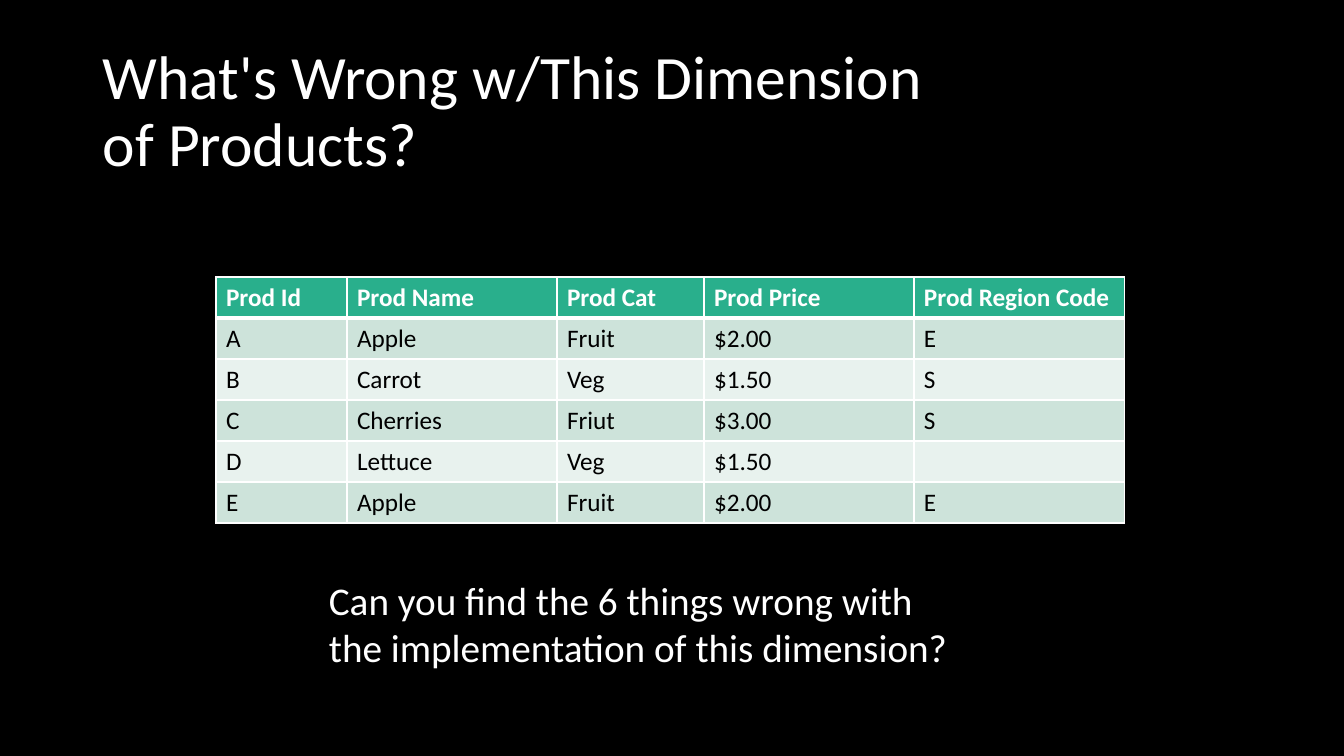
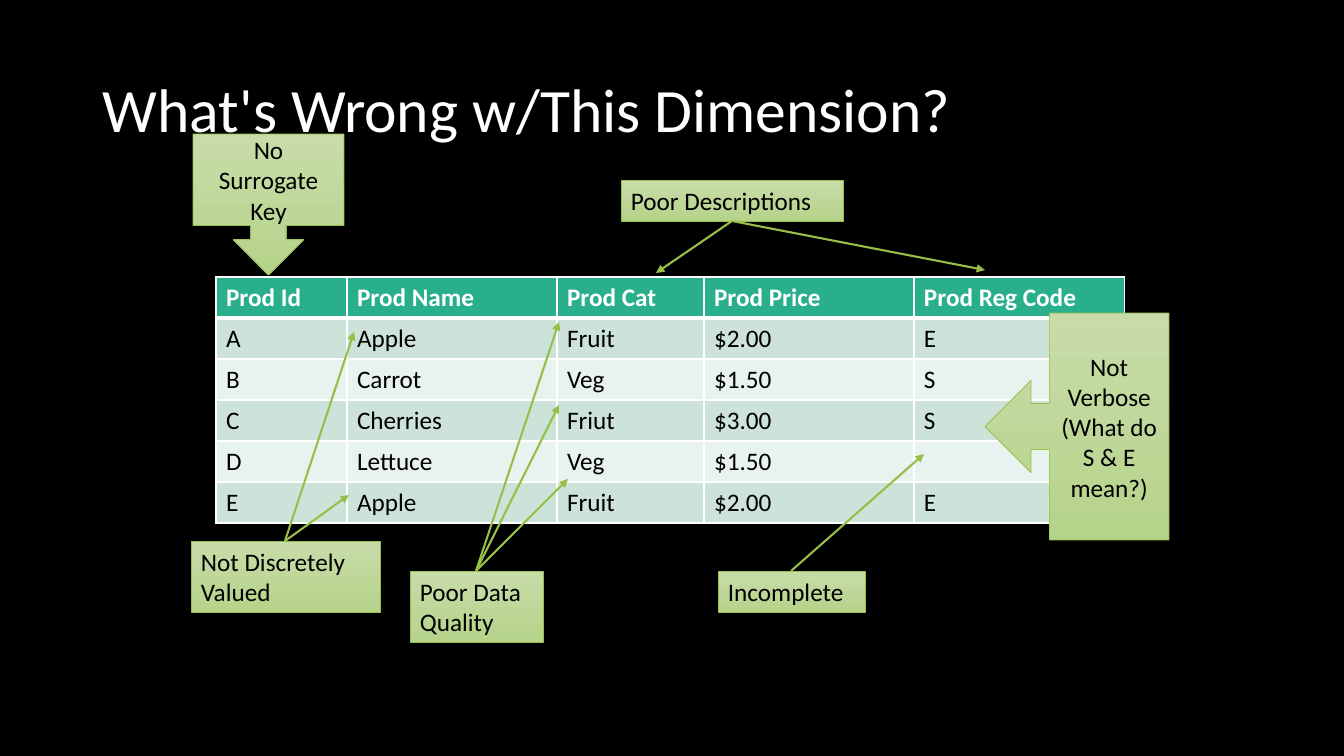
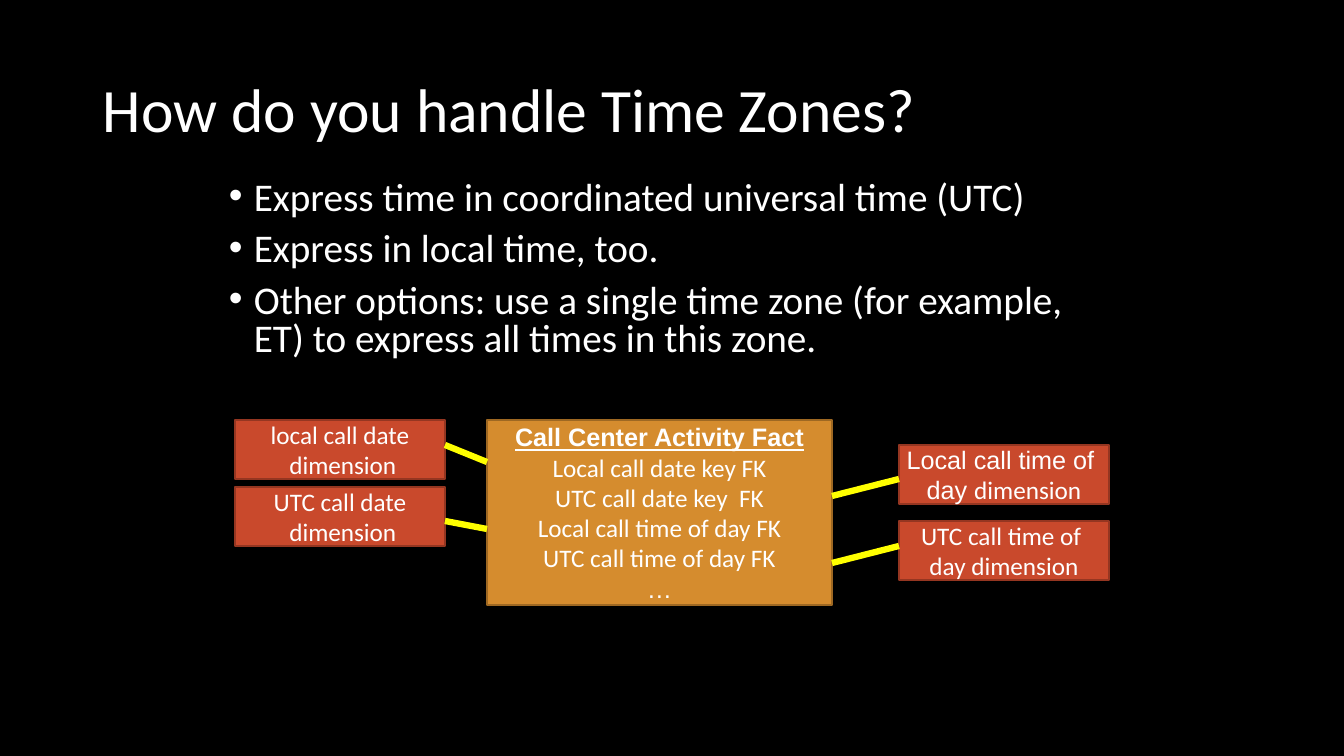
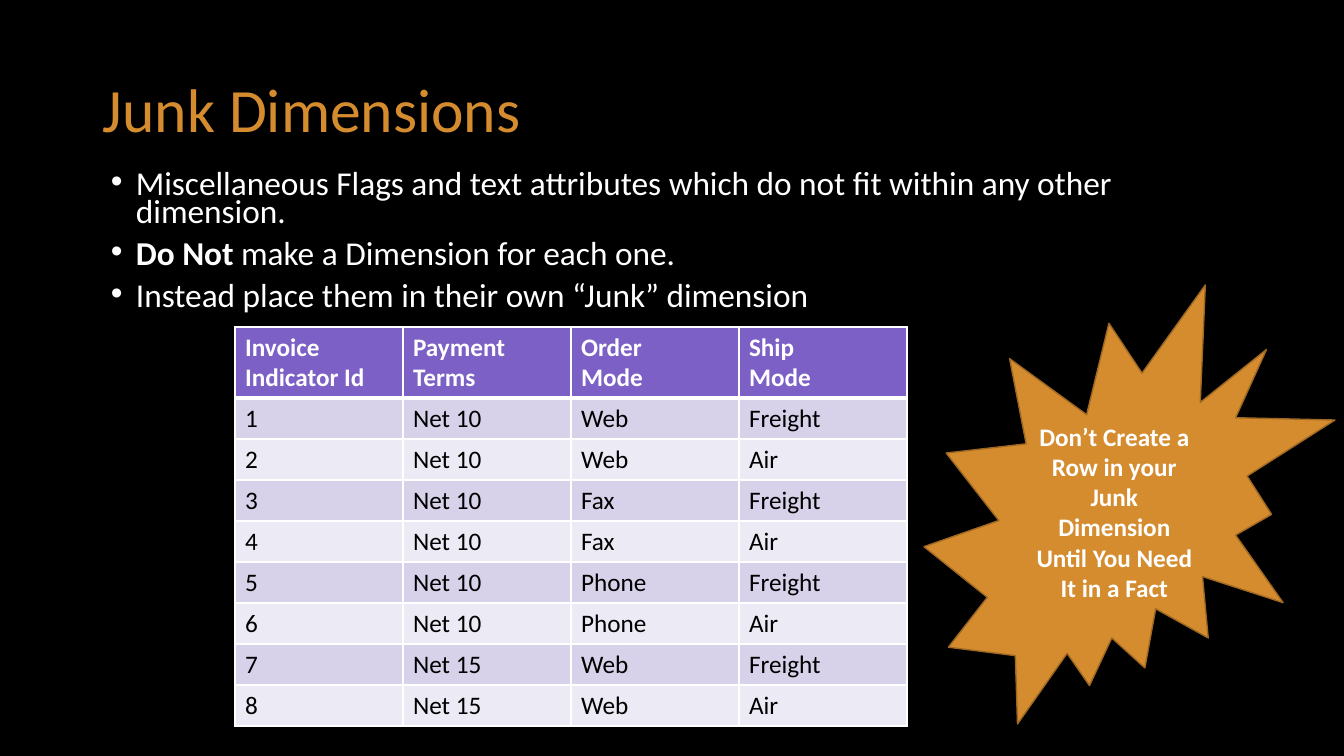
import pptx
import pptx.dml.color
import pptx.enum.shapes
import pptx.enum.text
import pptx.oxml.ns
import pptx.util
from lxml import etree

PX = 9071  # EMU in one pixel
BLACK, WHITE, ORANGE, RED = "000000", "FFFFFF", "D58C2E", "C9492C"
GREEN, YELLOW = "97BE49", "FFFF00"
PLAIN = {"name": "Calibri", "size": pptx.util.Pt(18), "bold": False}
BOLD = PLAIN | {"bold": True}
ARIAL = {"name": "Arial"}
SHAPE = pptx.enum.shapes.MSO_SHAPE
ANCHOR = pptx.enum.text.MSO_ANCHOR
ALIGN = pptx.enum.text.PP_ALIGN
qn = pptx.oxml.ns.qn


def color(code):
    """Turn a hex string into a colour."""
    return pptx.dml.color.RGBColor.from_string(code)


def write(frame, paragraphs, code, look, layout):
    """Fill a text frame; a paragraph is a string or a list of (text, font changes)."""
    for index, content in enumerate(paragraphs):
        para = frame.add_paragraph() if index else frame.paragraphs[0]
        for name, value in layout.items():
            setattr(para, name, value)
        spans = [(content, {})] if isinstance(content, str) else content
        for text, changes in spans:
            for number, line in enumerate(text.split("\n")):
                if number:
                    para.add_line_break()
                span = para.add_run()
                span.text = line
                span.font.color.rgb = color(code)
                for name, value in (look | changes).items():
                    setattr(span.font, name, value)


deck = pptx.Presentation()
deck.slide_width, deck.slide_height = 1344 * PX, 756 * PX

# Pages, background and titles
titles = [
    ("What's Wrong w/This Dimension\nof Products?", WHITE),
    ("What's Wrong w/This Dimension?", WHITE),
    ("How do you handle Time Zones?", WHITE),
    ("Junk Dimensions", ORANGE),
]
pages = []
for title, code in titles:
    page = deck.slides.add_slide(deck.slide_layouts[6])
    page.background.fill.solid()
    page.background.fill.fore_color.rgb = color(BLACK)
    frame = page.shapes.add_textbox(93 * PX, 40 * PX, 1159 * PX, 146 * PX).text_frame
    frame.word_wrap = True
    frame.vertical_anchor = ANCHOR.MIDDLE
    write(frame, [title], code, PLAIN | {"size": pptx.util.Pt(44)}, {"line_spacing": 0.9})
    pages.append(page)
question_page, answer_page, zone_page, junk_page = pages

# Question under the first table
frame = question_page.shapes.add_textbox(319 * PX, 571 * PX, 696 * PX, 105 * PX).text_frame
frame.word_wrap = True
question = "Can you find the 6 things wrong with\nthe implementation of this dimension?"
write(frame, [question], WHITE, PLAIN | {"size": pptx.util.Pt(28)}, {})

# Bulleted lists
bullet_lists = [
    (zone_page, (219, 176, 907, 194), 28, 0.8, [
        "Express time in coordinated universal time (UTC)",
        "Express in local time, too.",
        "Other options: use a single time zone (for example, ET) to express all times in this zone.",
    ]),
    (junk_page, (101, 168, 1025, 159), 23.8, 0.7, [
        "Miscellaneous Flags and text attributes which do not fit within any other dimension.",
        [("Do Not ", {"bold": True}), ("make a Dimension for each one.", {})],
        "Instead place them in their own “Junk” dimension",
    ]),
]
for page, place, size, spacing, points in bullet_lists:
    frame = page.shapes.add_textbox(*[length * PX for length in place]).text_frame
    frame.word_wrap = True
    write(frame, points, WHITE, PLAIN | {"size": pptx.util.Pt(size)},
          {"line_spacing": spacing, "space_before": pptx.util.Pt(10)})
    for para in frame.paragraphs:
        properties = para._p.get_or_add_pPr()
        properties.set("marL", str(25 * PX))
        properties.set("indent", str(-25 * PX))
        etree.SubElement(properties, qn("a:buFont"), typeface="Arial")
        etree.SubElement(properties, qn("a:buChar"), char="•")

# Tables: header fill, then the two fills of the body rows
product_fills = ("29AF8C", "CDE3DA", "E8F2EE")
product_columns = (131, 210, 147, 210, 211)
product_header = ["Prod Id", "Prod Name", "Prod Cat", "Prod Price"]
products = [
    ["A", "Apple", "Fruit", "$2.00", "E"],
    ["B", "Carrot", "Veg", "$1.50", "S"],
    ["C", "Cherries", "Friut", "$3.00", "S"],
    ["D", "Lettuce", "Veg", "$1.50", ""],
    ["E", "Apple", "Fruit", "$2.00", "E"],
]
junk_header = ["Invoice\nIndicator Id", "Payment\nTerms", "Order\nMode", "Ship\nMode"]
invoices = [
    ["1", "Net 10", "Web", "Freight"],
    ["2", "Net 10", "Web", "Air"],
    ["3", "Net 10", "Fax", "Freight"],
    ["4", "Net 10", "Fax", "Air"],
    ["5", "Net 10", "Phone", "Freight"],
    ["6", "Net 10", "Phone", "Air"],
    ["7", "Net 15", "Web", "Freight"],
    ["8", "Net 15", "Web", "Air"],
]
tables = [
    (question_page, 216, 277, product_columns, 41, product_fills,
     [product_header + ["Prod Region Code"]] + products),
    (answer_page, 216, 277, product_columns, 41, product_fills,
     [product_header + ["Prod Reg Code"]] + products),
    (junk_page, 235, 327, (168,) * 4, 71, ("7C60C6", "D7D2EA", "ECEAF5"),
     [junk_header] + invoices),
]
for page, left, top, columns, header_height, fills, rows in tables:
    heights = [header_height] + [41] * (len(rows) - 1)
    table = page.shapes.add_table(len(rows), len(columns), left * PX, top * PX,
                                  sum(columns) * PX, sum(heights) * PX).table
    table.horz_banding = False
    for column, width in zip(table.columns, columns):
        column.width = width * PX
    for index, (row, height, texts) in enumerate(zip(table.rows, heights, rows)):
        row.height = height * PX
        header = index == 0
        weights = {"L": 1, "R": 1, "T": 3 if index == 1 else 1, "B": 3 if header else 1}
        for cell, text in zip(row.cells, texts):
            write(cell.text_frame, [text], WHITE if header else BLACK,
                  BOLD if header else PLAIN, {})
            properties = cell._tc.get_or_add_tcPr()
            for side, weight in weights.items():
                border = etree.SubElement(properties, qn("a:ln" + side),
                                          w=str(pptx.util.Pt(weight)))
                solid = etree.SubElement(border, qn("a:solidFill"))
                etree.SubElement(solid, qn("a:srgbClr"), val=WHITE)
            cell.fill.solid()
            cell.fill.fore_color.rgb = color(fills[0] if header else fills[2 - index % 2])

# Labels of the answer page, each with the points its arrows reach
labels = [
    ((718, 571, 147, 41), "Incomplete", [(924, 454)]),
    ((410, 571, 133, 71), "Poor Data\nQuality", [(568, 479), (559, 405), (559, 322)]),
    ((191, 541, 189, 71), "Not Discretely\nValued", [(354, 332), (349, 495)]),
    ((621, 180, 222, 41), "Poor Descriptions", [(985, 270), (656, 273)]),
]

# Boxes: fills, line colour, line width, text colour, wrap, anchor, alignment
green = (("C8DCA9", "B6D38A"), GREEN, 0.5, BLACK, True)
label_style = green + (ANCHOR.TOP, ALIGN.LEFT)
callout_style = green + (ANCHOR.MIDDLE, ALIGN.CENTER)
dimension_style = ((RED,), "953621", 1, WHITE, False, ANCHOR.MIDDLE, ALIGN.CENTER)
fact_style = ((ORANGE,), "9E6822", 1, WHITE, False, ANCHOR.MIDDLE, ALIGN.CENTER)
burst_style = ((ORANGE,), "9E6822", 1, WHITE, True, ANCHOR.MIDDLE, ALIGN.CENTER)
fact = [
    [("Call Center Activity Fact", ARIAL | {"bold": True, "underline": True})],
    "Local call date key FK",
    "UTC call date key  FK",
    "Local call time of day FK",
    "UTC call time of day FK",
    [("…", ARIAL)],
]
dimensions = [
    (235, 420, ["local call date", " dimension"]),
    (235, 487, ["UTC call date", " dimension"]),
    (899, 445, [[("Local call time of ", ARIAL)], [("day ", ARIAL), ("dimension", {})]]),
    (899, 521, ["UTC call time of ", "day dimension"]),
]
boxes = [
    (answer_page, SHAPE.DOWN_ARROW_CALLOUT, (193, 134, 151, 141), callout_style,
     ["No Surrogate Key"], PLAIN),
    (answer_page, SHAPE.LEFT_ARROW_CALLOUT, (985, 313, 184, 227), callout_style,
     ["Not Verbose\n(What do S & E mean?)"], PLAIN),
    (zone_page, SHAPE.RECTANGLE, (487, 420, 345, 185), fact_style, fact, PLAIN),
    (junk_page, SHAPE.EXPLOSION2, (924, 285, 411, 439), burst_style,
     ["Don’t Create a Row in your Junk Dimension Until You Need It in a Fact"], BOLD),
]
boxes += [(answer_page, SHAPE.RECTANGLE, place, label_style, [text], PLAIN)
          for place, text, targets in labels]
boxes += [(zone_page, SHAPE.RECTANGLE, (left, top, 210, 59), dimension_style, texts, PLAIN)
          for left, top, texts in dimensions]
for page, kind, place, style, texts, look in boxes:
    fills, line_code, weight, text_code, wrap, anchor, align = style
    box = page.shapes.add_shape(kind, *[length * PX for length in place])
    box.shadow.inherit = False
    if len(fills) == 1:
        box.fill.solid()
        box.fill.fore_color.rgb = color(fills[0])
    else:
        box.fill.gradient()
        box.fill.gradient_angle = 270
        for stop, code in zip(box.fill.gradient_stops, fills):
            stop.color.rgb = color(code)
    box.line.color.rgb = color(line_code)
    box.line.width = pptx.util.Pt(weight)
    box.text_frame.word_wrap = wrap
    box.text_frame.vertical_anchor = anchor
    write(box.text_frame, texts, text_code, look, {"alignment": align})

# Lines: plain links to the fact, arrows from the label edge that faces the table
lines = [
    (zone_page, (487, 462), (445, 445), YELLOW, 4.5, False),
    (zone_page, (487, 529), (445, 521), YELLOW, 4.5, False),
    (zone_page, (832, 496), (899, 479), YELLOW, 4.5, False),
    (zone_page, (832, 563), (899, 546), YELLOW, 4.5, False),
]
for (left, top, width, height), text, targets in labels:
    for target in targets:
        edge = top if target[1] < top else top + height
        lines.append((answer_page, (left + width // 2, edge), target, GREEN, 1.5, True))
for page, start, end, code, weight, arrow in lines:
    connector = page.shapes.add_connector(
        pptx.enum.shapes.MSO_CONNECTOR.STRAIGHT, *[length * PX for length in start + end])
    connector.line.color.rgb = color(code)
    connector.line.width = pptx.util.Pt(weight)
    properties = connector._element.spPr
    if arrow:
        etree.SubElement(properties.find(qn("a:ln")), qn("a:tailEnd"), type="triangle")
    etree.SubElement(properties, qn("a:effectLst"))

deck.save("out.pptx")
